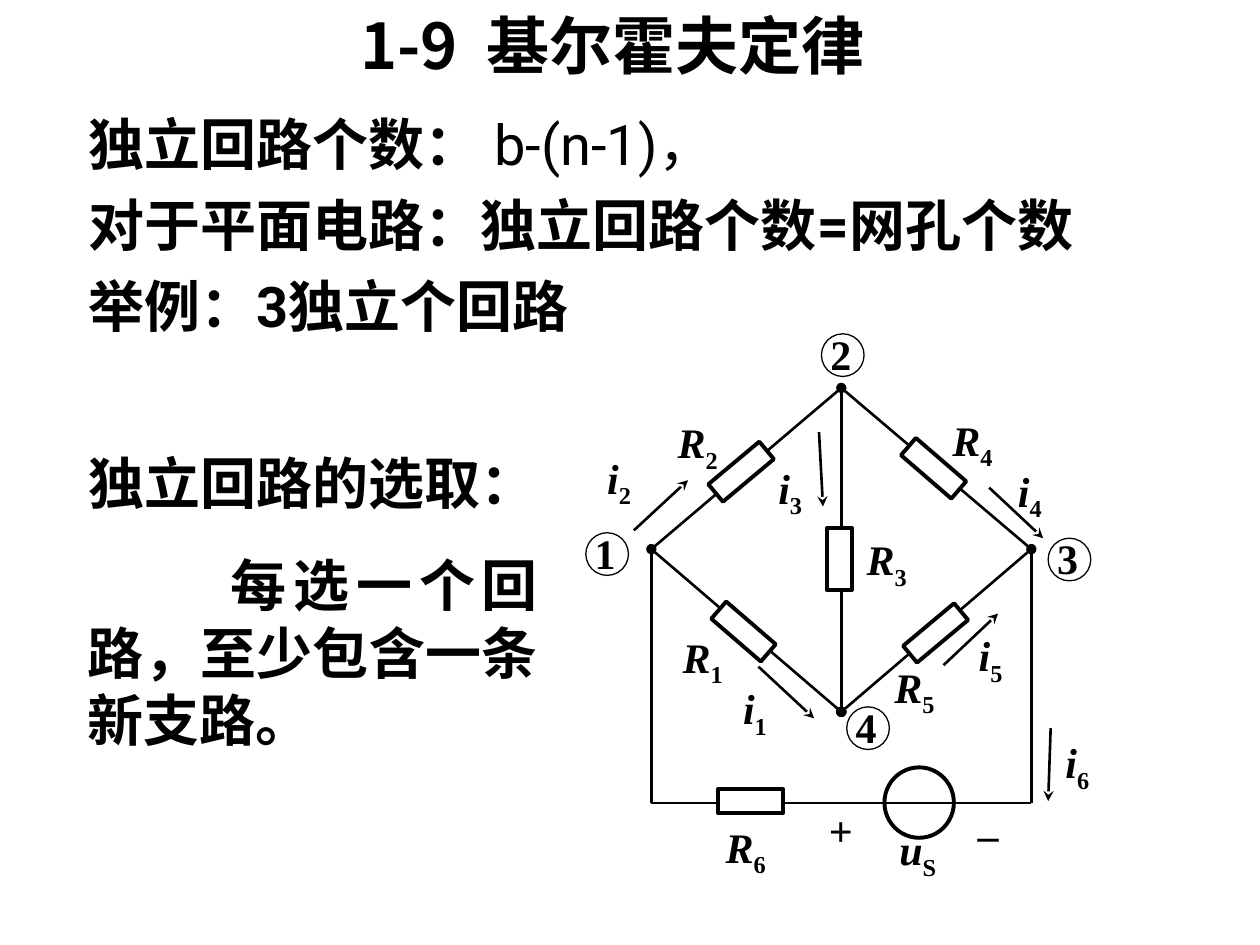
import pptx
import pptx.util
import pptx.dml.color
import pptx.enum.shapes
import pptx.enum.text
import pptx.oxml.ns
import lxml.etree
from pptx.util import Cm

BLACK = "000000"
SERIF = "Times New Roman"
SANS = "Roboto"
TITLE_FONT = "Noto Sans CJK SC"
ALIGN = pptx.enum.text.PP_ALIGN
ANCHOR = pptx.enum.text.MSO_ANCHOR
SHAPE = pptx.enum.shapes.MSO_SHAPE

TOP, LEFT, RIGHT, BOTTOM = (16.96, 7.82), (13.13, 11.07), (20.79, 11.07), (16.96, 14.35)
LOW_LEFT, LOW_RIGHT = (13.13, 16.19), (20.79, 16.19)

WIRES = [
    (TOP, BOTTOM, True), (TOP, RIGHT, False), (LEFT, BOTTOM, True),
    (RIGHT, BOTTOM, True), (TOP, LEFT, False),
    (LEFT, LOW_LEFT, False), (RIGHT, LOW_RIGHT, False), (LOW_LEFT, LOW_RIGHT, False),
]
RESISTORS = [
    (16.92, 11.27, 0.51, 1.24, 0),
    (14.94, 9.51, 0.46, 1.34, 50.1),
    (18.82, 9.44, 0.46, 1.34, 310.8),
    (18.86, 12.76, 0.44, 1.34, 50.1),
    (14.99, 12.73, 0.46, 1.32, 310.8),
    (15.13, 16.15, 0.48, 1.32, 90),
]
CURRENTS = [
    ((12.78, 10.69), (13.87, 9.68)), ((19.02, 13.41), (20.12, 12.37)),
    ((15.29, 13.44), (16.41, 14.48)), ((19.94, 9.83), (21.03, 10.85)),
    ((16.51, 8.71), (16.59, 10.21)), ((21.18, 14.68), (21.13, 16.15)),
]
SYMBOLS = [
    ("R", "1", 13.51, 12.6), ("R", "2", 13.41, 8.28), ("R", "3", 17.22, 10.64),
    ("R", "4", 18.95, 8.23), ("R", "5", 17.78, 13.21), ("R", "6", 14.38, 16.43),
    ("i", "1", 14.73, 13.64), ("i", "2", 11.99, 8.99), ("i", "3", 15.44, 9.19),
    ("i", "4", 20.27, 9.25), ("i", "5", 19.48, 12.57), ("i", "6", 21.23, 14.73),
    ("u", "S", 17.88, 16.48),
]
SIGNS = [("+", 16.46, 16.1), ("–", 19.46, 16.18)]
NODES = [("1", 11.81, 10.74), ("2", 16.56, 6.73), ("3", 21.13, 10.85), ("4", 17.07, 14.25)]


def color(value):
    return pptx.dml.color.RGBColor.from_string(value)


def add_child(parent, tag, **attributes):
    return lxml.etree.SubElement(parent, pptx.oxml.ns.qn(tag), attributes)


def add_span(para, text, size, font, bold=True, italic=False, baseline=None):
    span = para.add_run()
    span.text = text
    span.font.size = pptx.util.Pt(size)
    span.font.bold = bold
    span.font.italic = italic
    span.font.color.rgb = color(BLACK)
    span.font.name = font
    properties = span._r.get_or_add_rPr()
    add_child(properties, "a:ea", typeface=font)
    if baseline:
        properties.set("baseline", str(baseline))


def format_para(para, align, before=0, margin=0, indent=0):
    properties = para._p.get_or_add_pPr()
    properties.set("marL", str(Cm(margin)))
    properties.set("indent", str(Cm(indent)))
    add_child(properties, "a:buNone")
    para.alignment = align
    para.space_before = pptx.util.Pt(before)


def place(box, left, top, width, height, anchor=ANCHOR.TOP):
    box.left, box.top, box.width, box.height = Cm(left), Cm(top), Cm(width), Cm(height)
    frame = box.text_frame
    frame.word_wrap = True
    frame.auto_size = pptx.enum.text.MSO_AUTO_SIZE.NONE
    frame.vertical_anchor = anchor
    return frame


def add_label(group, left, top, width, height):
    box = group.shapes.add_textbox(0, 0, 0, 0)
    return place(box, left, top, width, height).paragraphs[0]


def add_line(group, start, end, head=None, tail=None):
    line = group.shapes.add_connector(
        pptx.enum.shapes.MSO_CONNECTOR.STRAIGHT, *(Cm(value) for value in start + end))
    line.line.color.rgb = color(BLACK)
    line.line.width = pptx.util.Pt(1.5)
    outline = line.line._get_or_add_ln()
    for tag, kind in (("a:headEnd", head), ("a:tailEnd", tail)):
        if kind:
            add_child(outline, tag, type=kind)
    add_child(line._element.spPr, "a:effectLst")


def add_outline(group, kind, left, top, width, height, weight, fill=None, rotation=0):
    shape = group.shapes.add_shape(kind, Cm(left), Cm(top), Cm(width), Cm(height))
    shape.shadow.inherit = False
    shape.rotation = rotation
    shape.line.color.rgb = color(BLACK)
    shape.line.width = pptx.util.Pt(weight)
    if fill:
        shape.fill.solid()
        shape.fill.fore_color.rgb = color(fill)
    else:
        shape.fill.background()


def add_circuit(page):
    group = page.shapes.add_group_shape()
    for start, end, dotted in WIRES:
        dot = "oval" if dotted else None
        add_line(group, start, end, dot, dot)
    for x, y, width, height, rotation in RESISTORS:
        add_outline(group, SHAPE.RECTANGLE, x - width / 2, y - height / 2,
                    width, height, 2.25, "FFFFFF", rotation)
    add_outline(group, SHAPE.OVAL, 17.83, 15.47, 1.4, 1.42, 2.25)
    for start, end in CURRENTS:
        add_line(group, start, end, tail="stealth")
    for letter, index, left, top in SYMBOLS:
        para = add_label(group, left, top, 1.47, 1.42)
        add_span(para, letter, 24, SERIF, italic=True)
        add_span(para, index, 24, SERIF, baseline=-25000)
    for sign, left, top in SIGNS:
        add_span(add_label(group, left, top, 1.36, 1.27), sign, 24, SERIF)
    for number, left, top in NODES:
        add_span(add_label(group, left - 0.07, top - 0.24, 1.09, 1.27), number, 24, SERIF)
        add_outline(group, SHAPE.OVAL, left, top, 0.86, 0.86, 0.75)


def add_title(page):
    para = place(page.shapes.title, 5.79, 0, 13.11, 1.78, ANCHOR.MIDDLE).paragraphs[0]
    format_para(para, ALIGN.CENTER)
    add_span(para, "1-9  基尔霍夫定律", 36, TITLE_FONT)


def add_rules(page):
    frame = place(page.placeholders[1], 1.52, 2.08, 22.71, 4.42)
    rules = [
        [("独立回路个数： ", True), ("b-(n-1)，", False)],
        [("对于平面电路：独立回路个数=网孔个数", True)],
        [("举例：3独立个回路", True)],
    ]
    for number, rule in enumerate(rules):
        para = frame.add_paragraph() if number else frame.paragraphs[0]
        format_para(para, ALIGN.LEFT, 8 if number else 0, 0.97, -0.97)
        for text, bold in rule:
            add_span(para, text, 32, SANS, bold)


def add_selection(page):
    frame = place(page.shapes.add_textbox(0, 0, 0, 0), 1.52, 8.92, 9.58, 6.38)
    heading = frame.paragraphs[0]
    format_para(heading, ALIGN.CENTER)
    add_span(heading, "独立回路的选取：", 32, SANS)
    advice = frame.add_paragraph()
    format_para(advice, ALIGN.JUSTIFY, 20, indent=2.88)
    add_span(advice, "每选一个回路，至少包含一条新支路。", 32, SANS)


def main():
    deck = pptx.Presentation()
    deck.slide_width, deck.slide_height = Cm(25.4), Cm(19.05)
    page = deck.slides.add_slide(deck.slide_layouts[1])
    add_circuit(page)
    add_rules(page)
    add_selection(page)
    add_title(page)
    deck.save("out.pptx")


if __name__ == "__main__":
    main()
